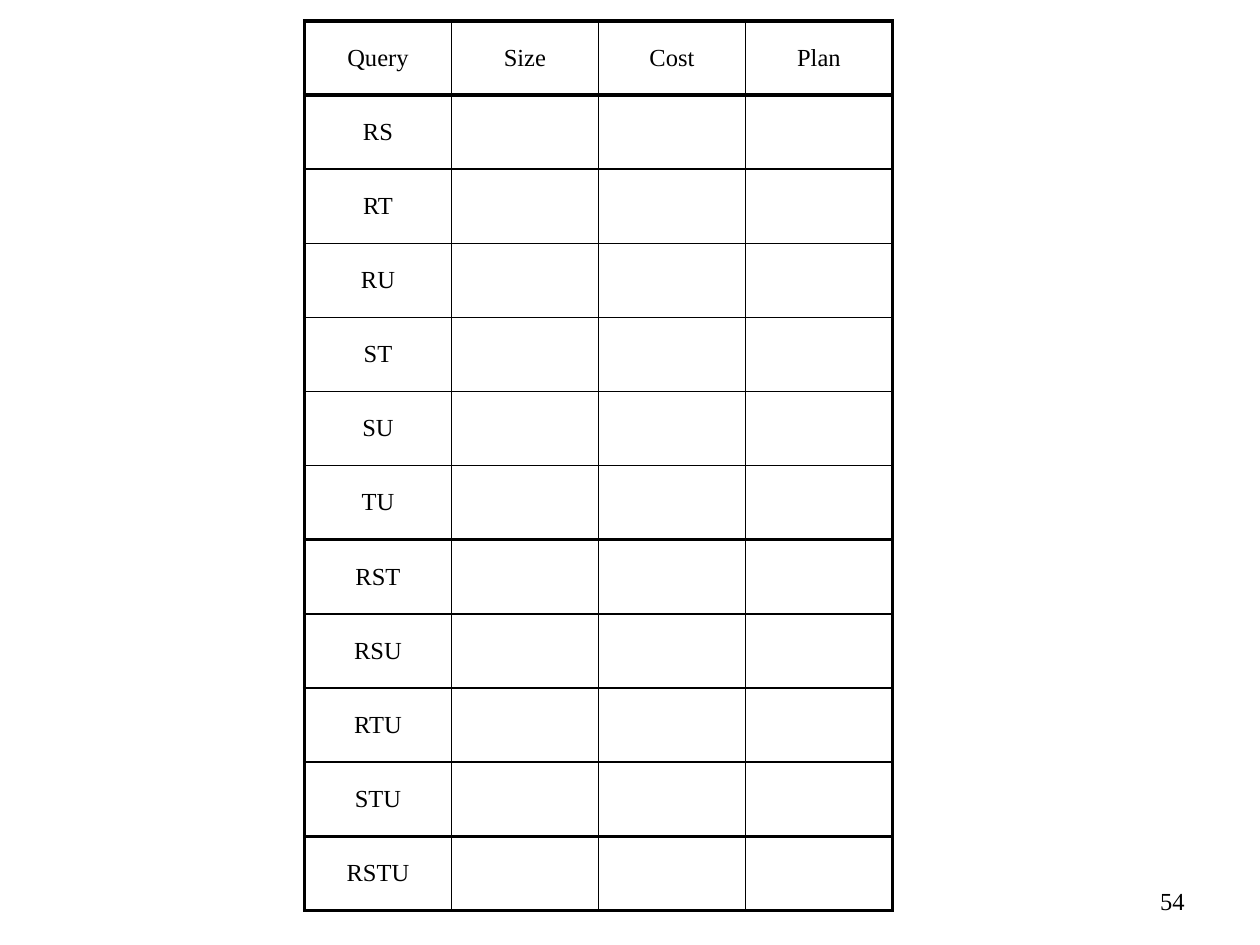
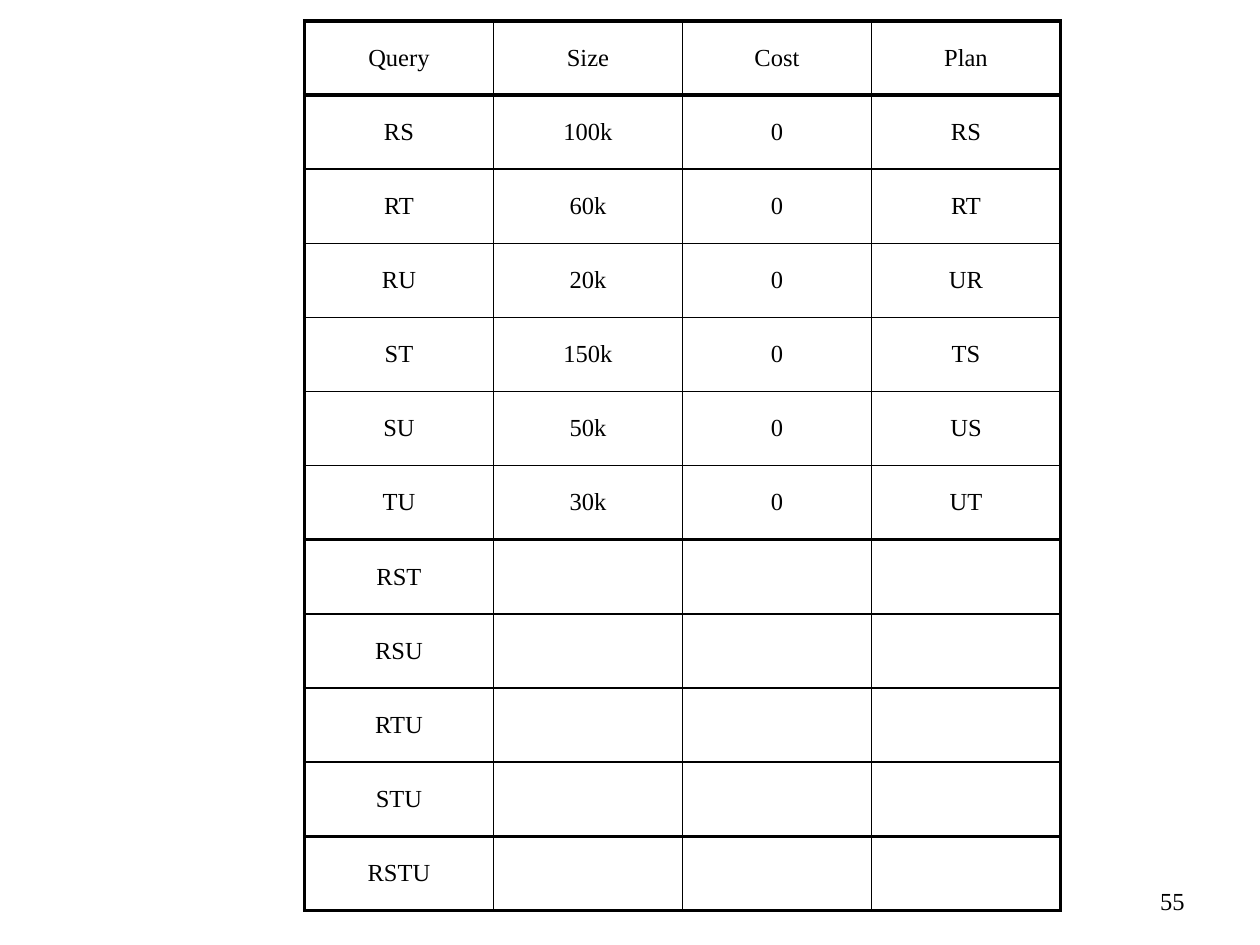
from lxml.etree import SubElement
from pptx import Presentation
from pptx.dml.color import RGBColor
from pptx.enum.text import MSO_ANCHOR, PP_ALIGN
from pptx.oxml.ns import qn
from pptx.util import Pt

HEADERS = ("Query", "Size", "Cost", "Plan")
QUERY_GROUPS = (
    ("RS", "RT", "RU", "ST", "SU", "TU"),
    ("RST", "RSU", "RTU", "STU"),
    ("RSTU",),
)
PAIR_RESULTS = {
    "RS": ("100k", "0", "RS"),
    "RT": ("60k", "0", "RT"),
    "RU": ("20k", "0", "UR"),
    "ST": ("150k", "0", "TS"),
    "SU": ("50k", "0", "US"),
    "TU": ("30k", "0", "UT"),
}
PAGES = (
    {"number": 54, "column_width": 84, "results": {}},
    {"number": 55, "column_width": 108, "results": PAIR_RESULTS},
)

FONT, TEXT_SIZE = "Times New Roman", 14
INK, PAPER = "000000", "FFFFFF"
THICK, THIN = 2.25, 1
TABLE_LEFT, TABLE_TOP, ROW_HEIGHT = 174, 12, 42.35
NUMBER_BOX = (516, 500.4, 168, 28.8)


def color(hex_text):
    return RGBColor.from_string(hex_text)


def write(frame, text, alignment):
    frame.text = text
    para = frame.paragraphs[0]
    para.alignment = alignment
    for span in para.runs:
        span.font.name = FONT
        span.font.size = Pt(TEXT_SIZE)
        span.font.color.rgb = color(INK)
    return para


def space_before(para, percent):
    """Set paragraph spacing relative to the text size."""
    spacing = SubElement(para._p.get_or_add_pPr(), qn("a:spcBef"))
    SubElement(spacing, qn("a:spcPct"), val=str(percent * 1000))


def add_border(cell, side, width):
    line = SubElement(cell._tc.get_or_add_tcPr(), qn("a:ln" + side), w=str(Pt(width)))
    fill = SubElement(line, qn("a:solidFill"))
    SubElement(fill, qn("a:srgbClr"), val=INK)


def thick_row_edges():
    """Number the horizontal lines around the header and each query group."""
    edges = [0, 1]
    for group in QUERY_GROUPS:
        edges.append(edges[-1] + len(group))
    return edges


def add_query_table(page, column_width, results):
    blank = ("",) * (len(HEADERS) - 1)
    rows = [HEADERS] + [
        (query, *results.get(query, blank)) for group in QUERY_GROUPS for query in group
    ]
    frame = page.shapes.add_table(
        len(rows), len(HEADERS), Pt(TABLE_LEFT), Pt(TABLE_TOP),
        Pt(column_width * len(HEADERS)), Pt(ROW_HEIGHT * len(rows)))
    table = frame.table
    table.first_row = table.horz_banding = False
    for column in table.columns:
        column.width = Pt(column_width)
    for row in table.rows:
        row.height = Pt(ROW_HEIGHT)

    row_edges, column_edges = thick_row_edges(), (0, len(HEADERS))
    for r, values in enumerate(rows):
        for c, value in enumerate(values):
            cell = table.cell(r, c)
            cell.vertical_anchor = MSO_ANCHOR.MIDDLE
            space_before(write(cell.text_frame, value, PP_ALIGN.CENTER), 20)
            for side, edge, thick_edges in (
                ("L", c, column_edges), ("R", c + 1, column_edges),
                ("T", r, row_edges), ("B", r + 1, row_edges),
            ):
                add_border(cell, side, THICK if edge in thick_edges else THIN)
            cell.fill.background()


def add_page_number(page, number):
    box = page.shapes.add_textbox(*map(Pt, NUMBER_BOX))
    box.text_frame.word_wrap = True
    box.text_frame.vertical_anchor = MSO_ANCHOR.MIDDLE
    write(box.text_frame, str(number), PP_ALIGN.RIGHT)


def main():
    deck = Presentation()
    deck.slide_width, deck.slide_height = Pt(720), Pt(540)
    for content in PAGES:
        page = deck.slides.add_slide(deck.slide_layouts[6])
        page.background.fill.solid()
        page.background.fill.fore_color.rgb = color(PAPER)
        add_page_number(page, content["number"])
        add_query_table(page, content["column_width"], content["results"])
    deck.save("out.pptx")


if __name__ == "__main__":
    main()
